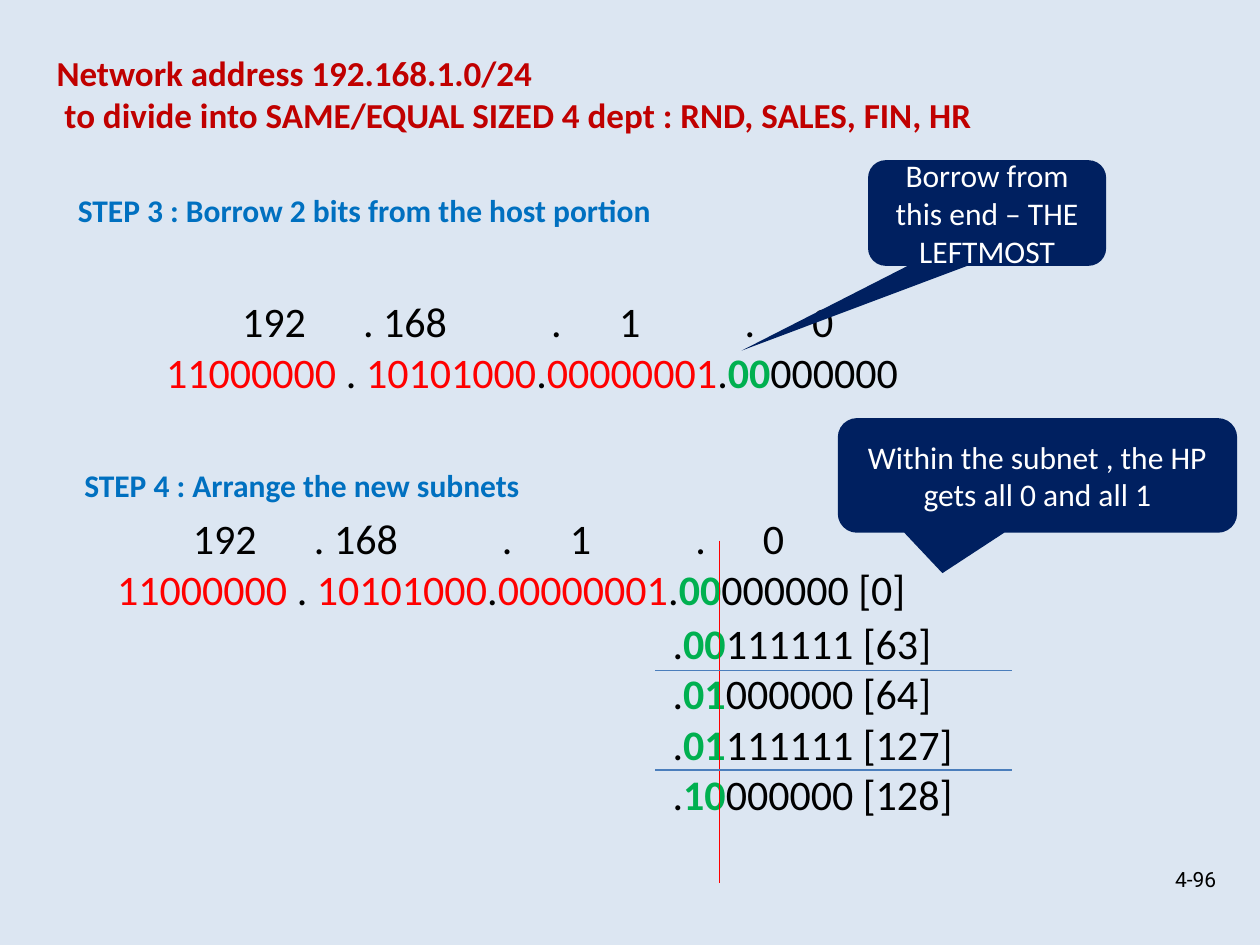
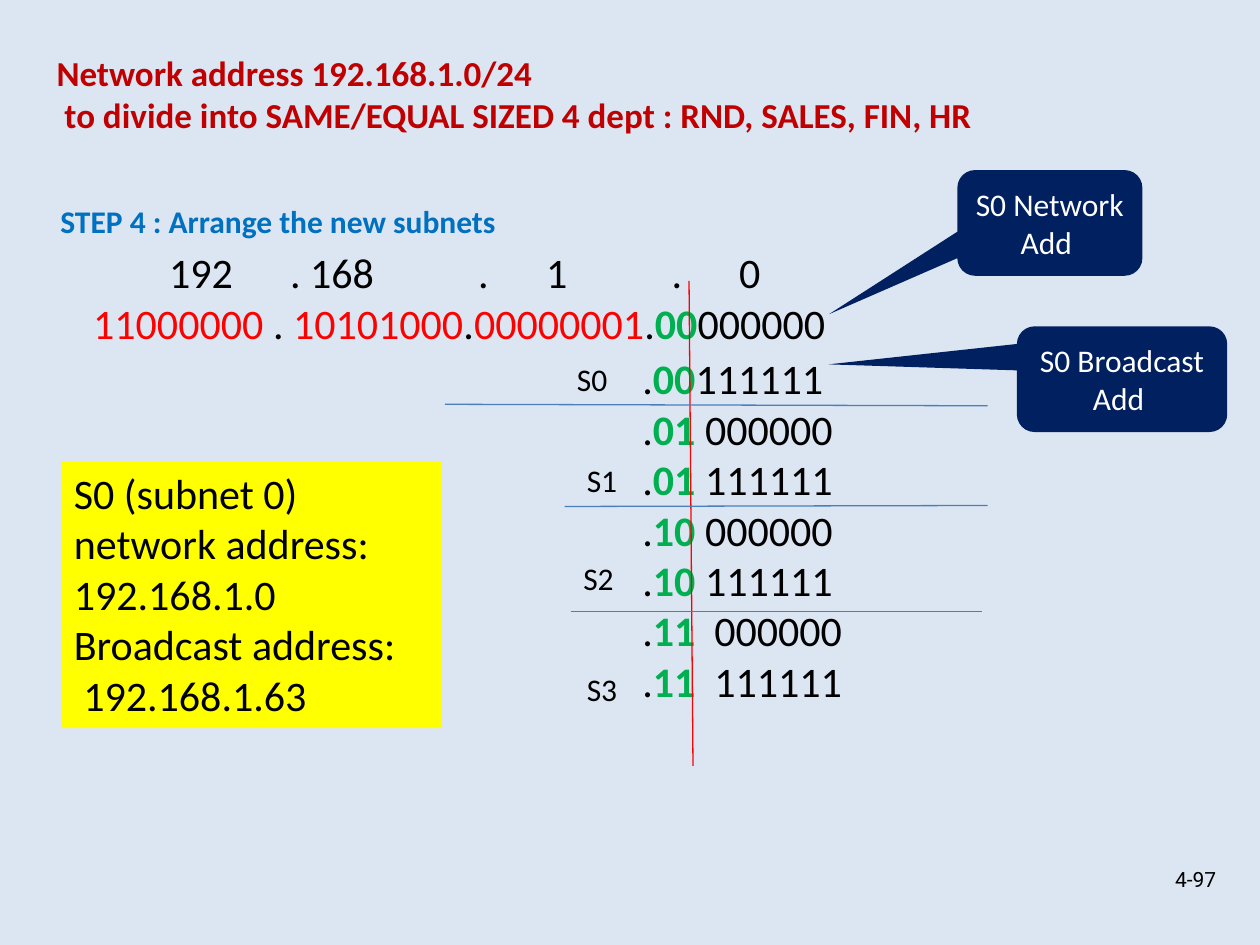
from lxml import etree
from pptx import Presentation
from pptx.dml.color import RGBColor
from pptx.enum.shapes import MSO_CONNECTOR as Connector, MSO_SHAPE as Shape
from pptx.enum.text import MSO_ANCHOR as Anchor, MSO_AUTO_SIZE as AutoSize, PP_ALIGN as Align
from pptx.oxml.ns import qn
from pptx.util import Cm, Pt

# Shared colours
BACKGROUND = "DCE6F2"
TITLE_RED = "C00000"
STEP_BLUE = "0070C0"
RED = "FF0000"
GREEN = "00B050"
BLACK = "000000"
WHITE = "FFFFFF"
NAVY = "002060"
YELLOW = "FFFF00"
RULE_BLUE = "4B7EBC"

# Tab stops (cm) that place the decimal octets above the binary ones
OCTET_TABS = (1.53, 3.97, 7.76, 9.13, 11.66, 13.02)
HOST_TAB = (1.45,)

TITLE = ("Network address 192.168.1.0/24",
         " to divide into SAME/EQUAL SIZED 4 dept : RND, SALES, FIN, HR")
STEP_3 = "STEP 3 : Borrow 2 bits from the host portion"
STEP_4 = "STEP 4 : Arrange the new subnets"


def color(hex_string):
    return RGBColor.from_string(hex_string)


# Text
def add_run(paragraph, text, size, hex_color=BLACK, bold=False, font="Calibri"):
    run = paragraph.add_run()
    run.text = text
    run.font.name = font
    run.font.size = Pt(size)
    run.font.bold = bold
    run.font.color.rgb = color(hex_color)


def set_tabs(paragraph, stops):
    tab_list = etree.SubElement(paragraph._p.get_or_add_pPr(), qn("a:tabLst"))
    for stop in stops:
        etree.SubElement(tab_list, qn("a:tab"), pos=str(Cm(stop)), algn="l")


def paragraphs_for(frame, count):
    return [frame.paragraphs[0]] + [frame.add_paragraph() for _ in range(count - 1)]


def fit_to_text(frame):
    frame.word_wrap = False
    frame.auto_size = AutoSize.SHAPE_TO_FIT_TEXT


def add_text(slide, left, top, width, height, lines, size, hex_color=BLACK,
             bold=False, tabs=()):
    """Each line is a string or a list of (text, colour, bold) runs."""
    box = slide.shapes.add_textbox(Cm(left), Cm(top), Cm(width), Cm(height))
    fit_to_text(box.text_frame)
    for paragraph, line in zip(paragraphs_for(box.text_frame, len(lines)), lines):
        if tabs:
            set_tabs(paragraph, tabs)
        runs = [(line, hex_color, bold)] if isinstance(line, str) else line
        for text, run_color, run_bold in runs:
            add_run(paragraph, text, size, run_color, run_bold)


def add_step(slide, left, top, text, width=11.61):
    add_text(slide, left, top, width, 1.02, [text], 18, STEP_BLUE, True)


def add_address(slide, left, top, width, note=""):
    binary = [("11000000", RED, False), (" . ", BLACK, False),
              ("10101000", RED, False), (".", BLACK, False),
              ("00000001", RED, False), (".", BLACK, False),
              ("00", GREEN, True), ("000000" + note, BLACK, False)]
    decimal = "\t192\t. 168\t.\t1\t.\t0"
    add_text(slide, left, top, width, 2.31, [decimal, binary], 24, tabs=OCTET_TABS)


def add_last_octets(slide, left, top, width, height, octets):
    lines = [[(".", BLACK, False), (subnet, GREEN, True), (host, BLACK, False)]
             for subnet, host in octets]
    add_text(slide, left, top, width, height, lines, 24, tabs=HOST_TAB)


# Shapes and lines
def add_filled_shape(slide, kind, left, top, width, height, fill):
    shape = slide.shapes.add_shape(kind, Cm(left), Cm(top), Cm(width), Cm(height))
    shape.shadow.inherit = False
    shape.fill.solid()
    shape.fill.fore_color.rgb = color(fill)
    shape.line.fill.background()
    return shape


def add_callout(slide, left, top, width, height, tip, text):
    shape = add_filled_shape(slide, Shape.ROUNDED_RECTANGULAR_CALLOUT,
                             left, top, width, height, NAVY)
    for index, value in enumerate((*tip, 0.167)):
        shape.adjustments[index] = value
    frame = shape.text_frame
    frame.word_wrap = True
    frame.vertical_anchor = Anchor.MIDDLE
    paragraph = frame.paragraphs[0]
    paragraph.alignment = Align.CENTER
    add_run(paragraph, text, 18, WHITE)


def add_note(slide, left, top, width, height, lines):
    shape = add_filled_shape(slide, Shape.RECTANGLE, left, top, width, height, YELLOW)
    frame = shape.text_frame
    fit_to_text(frame)
    frame.vertical_anchor = Anchor.TOP
    for paragraph, line in zip(paragraphs_for(frame, len(lines)), lines):
        paragraph.alignment = Align.LEFT
        add_run(paragraph, line, 24)


def add_line(slide, x1, y1, x2, y2, hex_color=RULE_BLUE):
    line = slide.shapes.add_connector(Connector.STRAIGHT, Cm(x1), Cm(y1), Cm(x2), Cm(y2))
    line.line.color.rgb = color(hex_color)
    line.line.width = Pt(0.75)
    etree.SubElement(line._element.spPr, qn("a:effectLst"))


# Slide frame: background, title and page number
def new_slide(presentation, page):
    slide = presentation.slides.add_slide(presentation.slide_layouts[6])
    slide.background.fill.solid()
    slide.background.fill.fore_color.rgb = color(BACKGROUND)
    add_text(slide, 0.89, 0.91, 19.1, 1.96, TITLE, 20, TITLE_RED, True)
    box = slide.shapes.add_textbox(Cm(22.76), Cm(17.3), Cm(2.01), Cm(0.84))
    frame = box.text_frame
    frame.word_wrap = True
    frame.vertical_anchor = Anchor.MIDDLE
    paragraph = frame.paragraphs[0]
    paragraph.alignment = Align.RIGHT
    add_run(paragraph, page, 12, font="Roboto")
    return slide


def build_borrow_slide(presentation):
    slide = new_slide(presentation, "4-96")

    # Step 3
    add_step(slide, 1.32, 3.73, STEP_3, 15.19)
    add_address(slide, 3.1, 5.84, 17.7)
    add_callout(slide, 17.5, 3.23, 4.8, 2.13, (-1.031, 1.302),
                "Borrow from this end – THE LEFTMOST")

    # Step 4
    add_step(slide, 1.45, 9.27, STEP_4)
    add_address(slide, 2.11, 10.21, 19.02, " [0]")
    add_last_octets(slide, 13.31, 12.32, 6.2, 4.37,
                    [("00", "111111 [63]"), ("01", "000000 [64]"),
                     ("01", "111111 [127]"), ("10", "000000 [128]")])
    add_line(slide, 14.5, 10.9, 14.5, 17.81, RED)
    for y in (13.51, 15.52):
        add_line(slide, 13.21, y, 20.4, y)
    add_callout(slide, 16.89, 8.43, 8.05, 2.31, (-0.238, 0.853),
                "Within the subnet , the HP gets all 0 and all 1")


def build_subnets_slide(presentation):
    slide = new_slide(presentation, "4-97")

    # Address and the subnet ranges below it
    add_step(slide, 0.97, 3.94, STEP_4)
    add_address(slide, 1.63, 4.85, 17.65)
    octets = [("00", "111111")]
    for subnet in ("01 ", "10 ", "11\t"):
        octets += [(subnet, "000000"), (subnet, "111111")]
    add_last_octets(slide, 12.7, 6.99, 4.75, 7.44, octets)

    # Dividers
    add_line(slide, 13.89, 5.66, 13.97, 15.44, RED)
    add_line(slide, 8.97, 8.15, 19.91, 8.18)
    add_line(slide, 11.38, 10.21, 19.91, 10.19)
    add_line(slide, 11.51, 12.32, 19.79, 12.32)

    # Subnet labels and explanations
    add_callout(slide, 19.3, 3.43, 3.73, 2.13, (-1.194, 0.864), "S0 Network Add ")
    label_places = ((11.38, 7.14), (11.58, 9.17), (11.51, 11.15), (11.58, 13.39))
    for number, (left, top) in enumerate(label_places):
        add_text(slide, left, top, 1.25, 1.02, [f"S{number}"], 18)
    add_callout(slide, 20.5, 6.58, 4.24, 2.13, (-1.396, -0.14), "S0 Broadcast Add ")
    add_note(slide, 1.24, 9.3, 7.67, 5.38,
             ["S0 (subnet 0)", "network address:", "192.168.1.0",
              "Broadcast address:", " 192.168.1.63"])


def main():
    presentation = Presentation()
    presentation.slide_width = Cm(25.4)
    presentation.slide_height = Cm(19.05)
    build_borrow_slide(presentation)
    build_subnets_slide(presentation)
    presentation.save("out.pptx")


if __name__ == "__main__":
    main()
